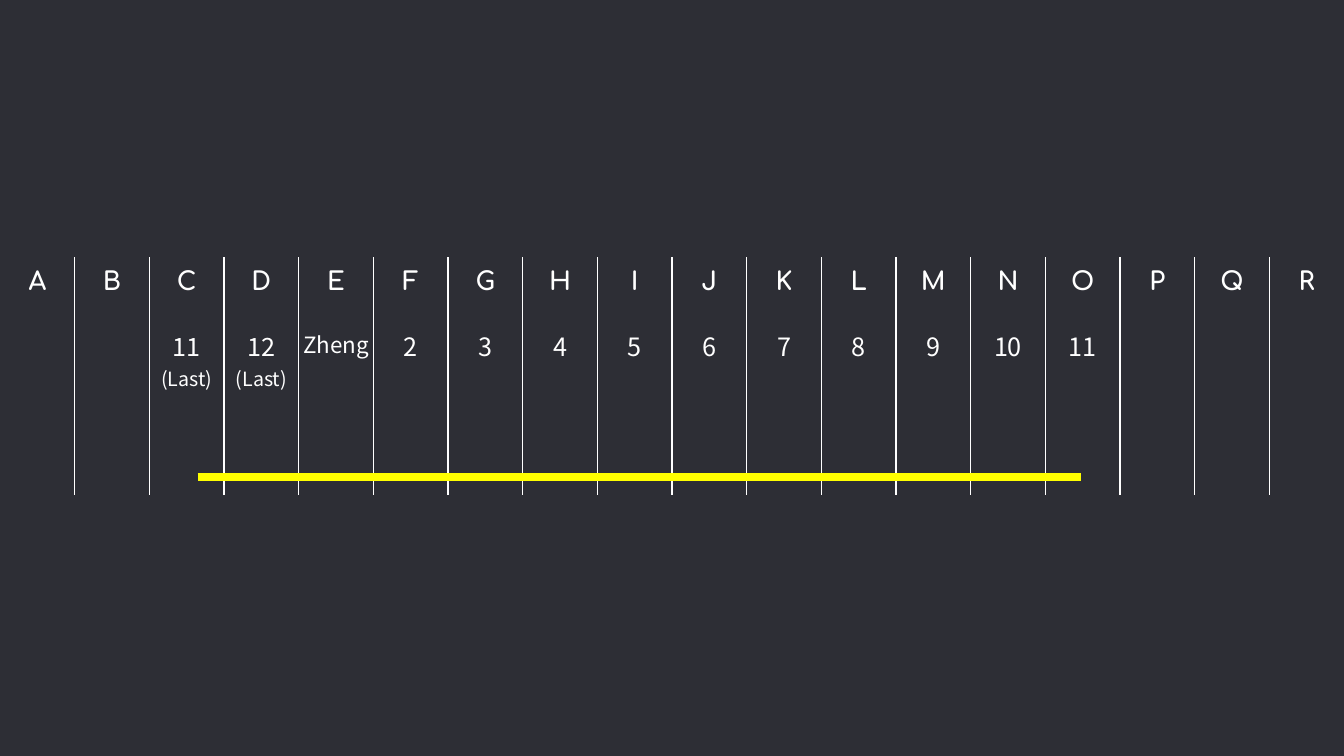
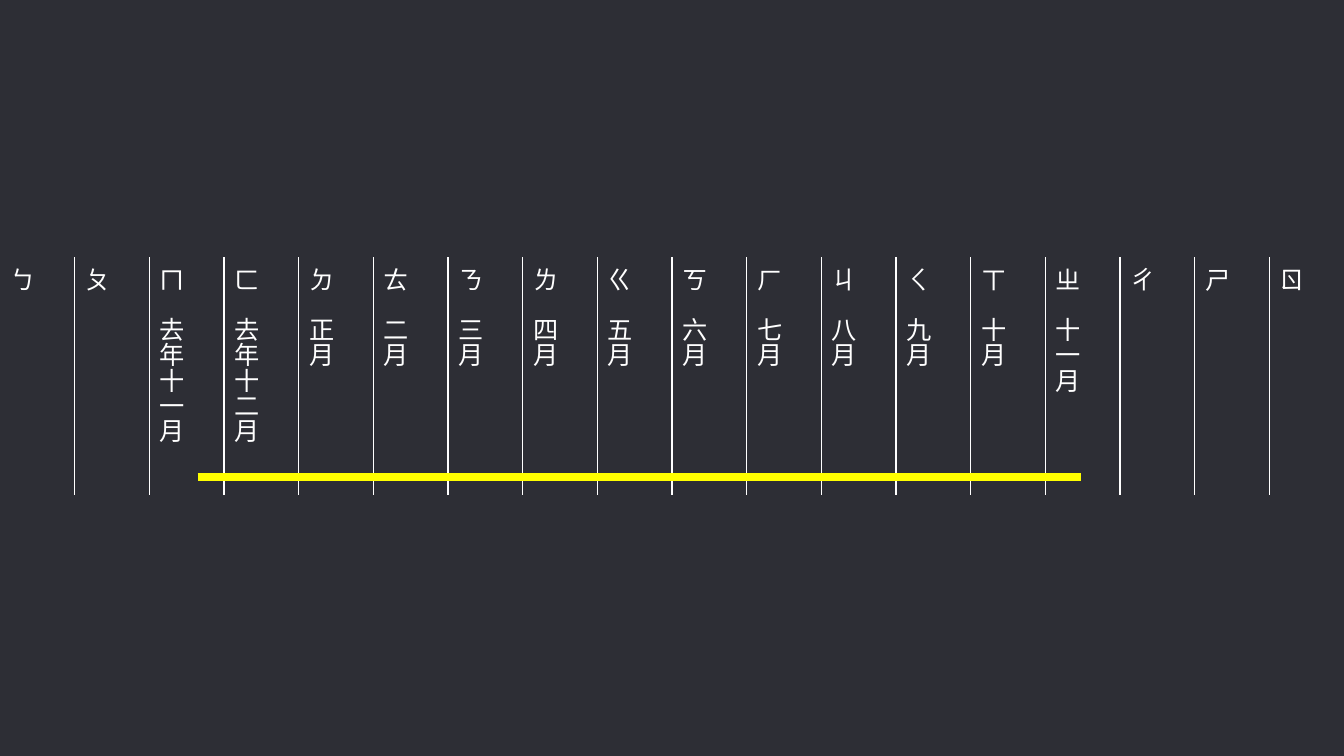
import pptx
import pptx.dml.color
import pptx.enum.shapes
import pptx.enum.text
import pptx.oxml
import pptx.oxml.ns
import pptx.util
from pptx.util import Inches, Pt

RGBColor = pptx.dml.color.RGBColor
ALIGN = pptx.enum.text.PP_ALIGN
ANCHOR = pptx.enum.text.MSO_ANCHOR
qn = pptx.oxml.ns.qn

BACKGROUND = RGBColor(0x2D, 0x2E, 0x35)
WHITE = RGBColor(0xFF, 0xFF, 0xFF)
YELLOW = RGBColor(0xFF, 0xFF, 0x00)

CJK_FONT = "Noto Sans CJK SC"
NO_STYLE = "{2D5ABB26-0587-4C30-8999-92F81FD0307C}"

SLIDE_W, SLIDE_H = Inches(13.33), Inches(7.5)
TABLE_TOP = Inches(2.55)
ROW_HEIGHTS = (Inches(0.5), Inches(1.86))
BAR_LEFT, BAR_RIGHT, BAR_Y = Inches(1.96), Inches(10.72), Inches(4.73)
FIRST_MONTH = 2  # column of the first month

LETTERS = "ABCDEFGHIJKLMNOPQR"
# Each month is a list of (text, size) runs
MONTHS = [
    [("11 ", 18), ("(Last)", 14)],
    [("12 ", 18), ("(Last)", 14)],
    [("Zheng", 16)],
] + [[(str(n), 18)] for n in range(2, 12)]

BOPOMOFO = "ㄅㄆㄇㄈㄉㄊㄋㄌㄍㄎㄏㄐㄑㄒㄓㄔㄕㄖ"
BOPOMOFO_FONTS = ["TeX Gyre Bonum"] * 15 + ["Arial"] * 3
MONTHS_ZH = ["去年十一月", "去年十二月", "正月", "二月", "三月", "四月", "五月",
             "六月", "七月", "八月", "九月", "十月", "十一月"]


def add_text(p, text, font=CJK_FONT, size=18, bold=False, align=None):
    p.alignment = align
    r = p.add_run()
    r.text = text
    r.font.name = font
    r.font.size = Pt(size)
    r.font.bold = bold
    r.font.color.rgb = WHITE
    ea = pptx.oxml.parse_xml(
        f'<a:ea {pptx.oxml.ns.nsdecls("a")} typeface="{CJK_FONT}"/>')
    r.font._element.find(qn("a:latin")).addnext(ea)


def add_side_borders(cell, sides):
    """Draw a white line on each named side ("L", "R") of the cell."""
    tc_pr = cell._tc.get_or_add_tcPr()
    for i, side in enumerate(sides):
        tc_pr.insert(i, pptx.oxml.parse_xml(
            f'<a:ln{side} {pptx.oxml.ns.nsdecls("a")} w="{Pt(1)}">'
            f'<a:solidFill><a:srgbClr val="{WHITE}"/></a:solidFill></a:ln{side}>'))


def set_vertical(cell):
    cell.vertical_anchor = ANCHOR.MIDDLE
    cell._tc.get_or_add_tcPr().set("vert", "eaVert")


def add_ruled_table(slide, columns):
    frame = slide.shapes.add_table(len(ROW_HEIGHTS), columns, 0, TABLE_TOP,
                                   SLIDE_W, sum(ROW_HEIGHTS))
    table = frame.table
    table.first_row = table.horz_banding = False
    for style in frame._element.iter(qn("a:tableStyleId")):
        style.text = NO_STYLE
    for row, height in zip(table.rows, ROW_HEIGHTS):
        row.height = height
    for c, column in enumerate(table.columns):
        column.width = SLIDE_W // columns
        sides = ("L" if c > 0 else "") + ("R" if c < columns - 1 else "")
        for r in range(len(ROW_HEIGHTS)):
            cell = table.cell(r, c)
            cell.fill.background()
            add_side_borders(cell, sides)
    return table


def add_span_bar(slide):
    line = slide.shapes.add_connector(pptx.enum.shapes.MSO_CONNECTOR.STRAIGHT,
                                      BAR_LEFT, BAR_Y, BAR_RIGHT, BAR_Y)
    line.line.color.rgb = YELLOW
    line.line.width = Pt(6)
    line._element.spPr.append(pptx.oxml.parse_xml(
        f'<a:effectLst {pptx.oxml.ns.nsdecls("a")}/>'))


def add_timeline(prs, columns):
    """Add a slide with the ruled table and yellow bar; return the table."""
    slide = prs.slides.add_slide(prs.slide_layouts[6])
    slide.background.fill.solid()
    slide.background.fill.fore_color.rgb = BACKGROUND
    table = add_ruled_table(slide, columns)
    add_span_bar(slide)
    return table


def build_letter_slide(prs):
    table = add_timeline(prs, len(LETTERS))
    for c, letter in enumerate(LETTERS):
        cell = table.cell(0, c)
        cell.vertical_anchor = ANCHOR.MIDDLE
        add_text(cell.text_frame.paragraphs[0], letter, font="Comfortaa",
                 bold=True, align=ALIGN.CENTER)
    for c, runs in enumerate(MONTHS, FIRST_MONTH):
        cell = table.cell(1, c)
        cell.margin_left = cell.margin_right = cell.margin_bottom = 0
        cell.margin_top = Inches(0.2)
        for text, size in runs:
            add_text(cell.text_frame.paragraphs[0], text, size=size,
                     align=ALIGN.CENTER)


def build_bopomofo_slide(prs):
    table = add_timeline(prs, len(BOPOMOFO))
    for c, (symbol, font) in enumerate(zip(BOPOMOFO, BOPOMOFO_FONTS)):
        cell = table.cell(0, c)
        set_vertical(cell)
        add_text(cell.text_frame.paragraphs[0], symbol, font=font)
    for c, month in enumerate(MONTHS_ZH, FIRST_MONTH):
        cell = table.cell(1, c)
        set_vertical(cell)
        add_text(cell.text_frame.paragraphs[0], month)


def main():
    prs = pptx.Presentation()
    prs.slide_width, prs.slide_height = SLIDE_W, SLIDE_H
    build_letter_slide(prs)
    build_bopomofo_slide(prs)
    prs.save("out.pptx")


if __name__ == "__main__":
    main()
